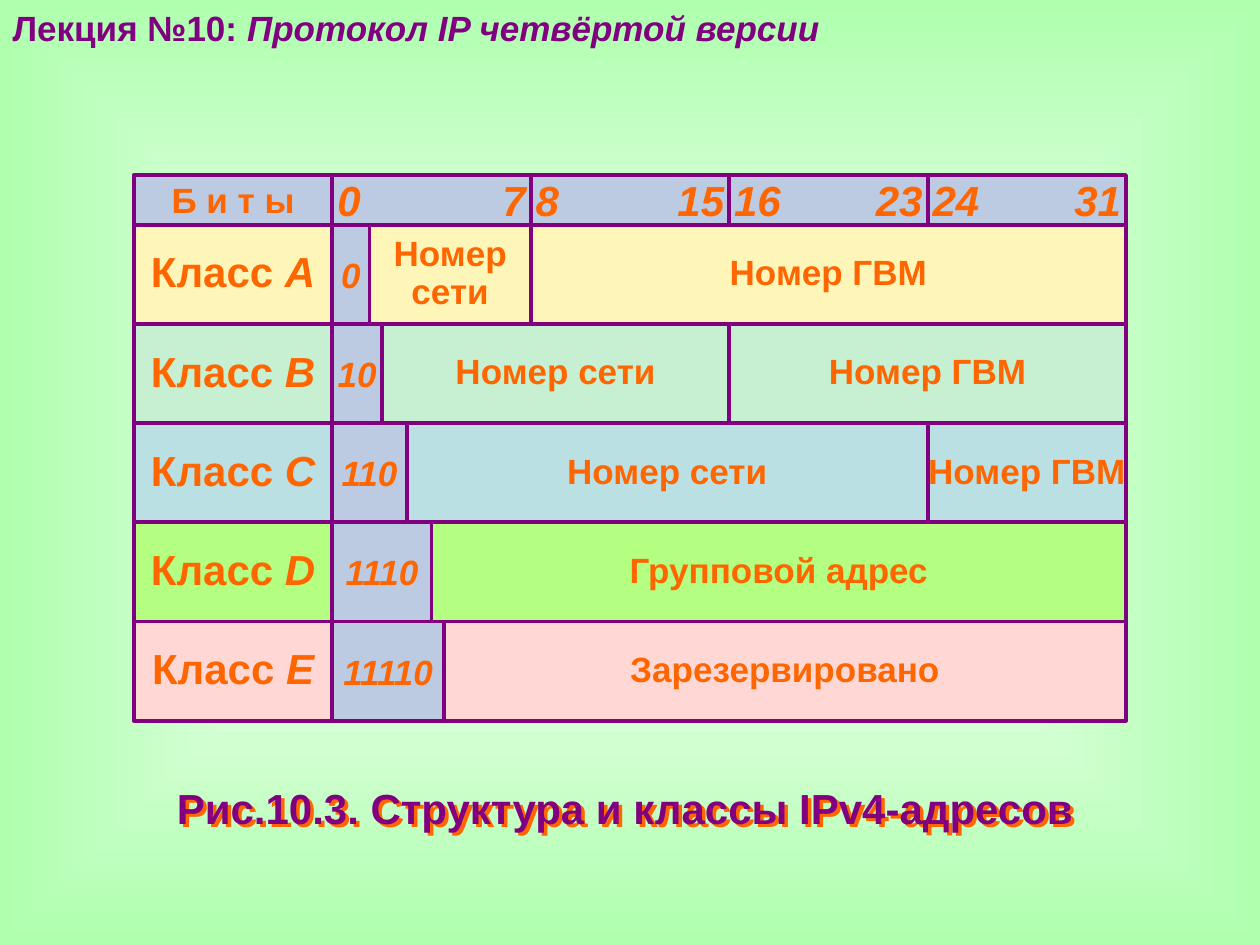
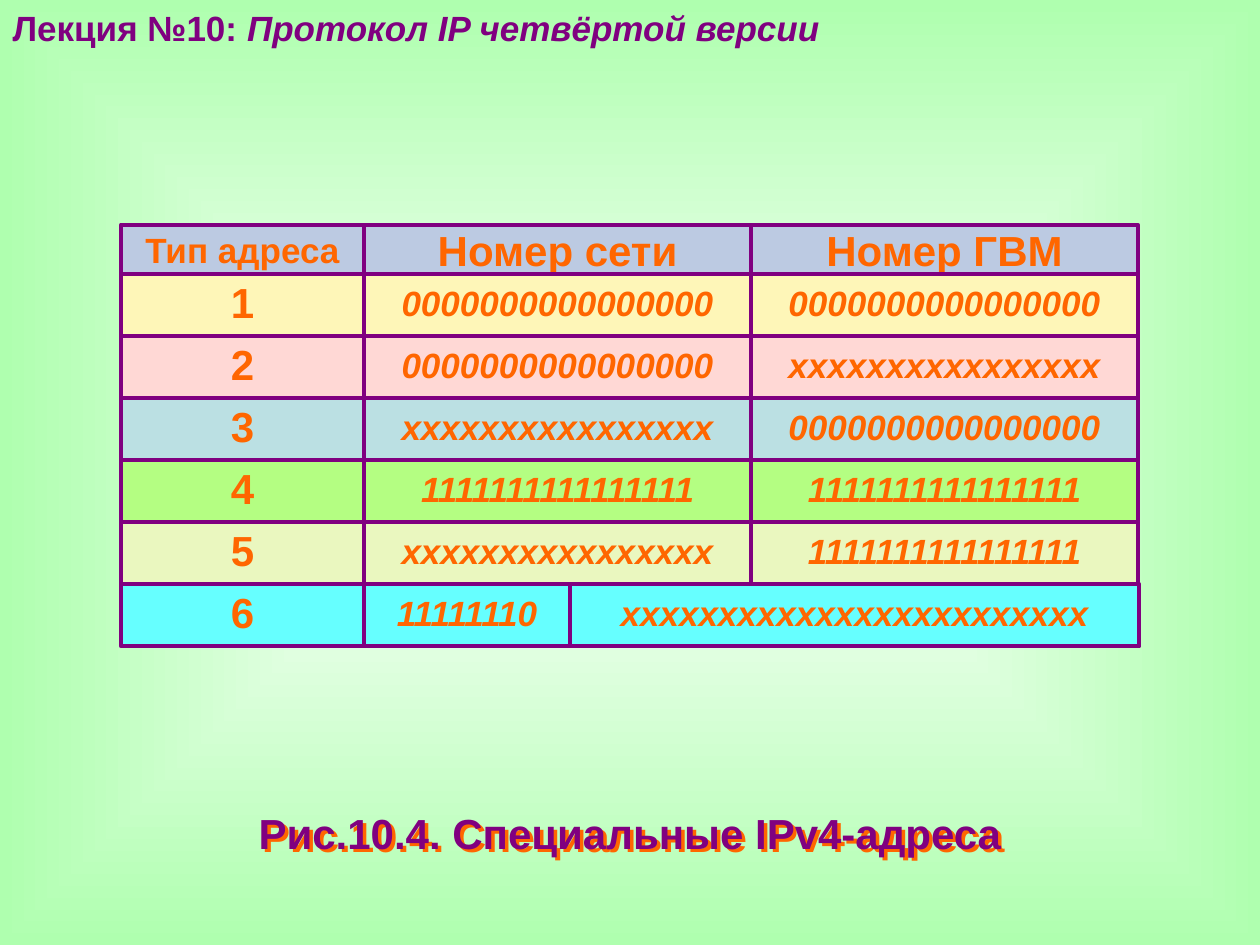
import itertools

import lxml.etree
import pptx
import pptx.dml.color
import pptx.enum.shapes
import pptx.enum.text
import pptx.oxml
import pptx.oxml.ns
import pptx.util

Cm = pptx.util.Cm
Pt = pptx.util.Pt
Align = pptx.enum.text.PP_ALIGN
Anchor = pptx.enum.text.MSO_ANCHOR

FONT = "Arial"
PURPLE, ORANGE = "800080", "FF6600"
HEADER, YELLOW, MINT, BLUE = "BCCAE2", "FEF6B8", "C7EFD1", "BBE0E3"
GREEN, PINK, OLIVE, CYAN = "B4FE82", "FFD8D5", "EAF7BF", "66FFFF"
HEADER_HEIGHT = 1

# Name, colour, prefix bits, prefix width, then (text, right edge in octets)
ADDRESS_CLASSES = [
    ("А", YELLOW, "0", 0.75, [("Номер сети", 1), ("Номер ГВМ", 4)]),
    ("В", MINT, "10", 1, [("Номер сети", 2), ("Номер ГВМ", 4)]),
    ("С", BLUE, "110", 1.5, [("Номер сети", 3), ("Номер ГВМ", 4)]),
    ("D", GREEN, "1110", 2, [("Групповой адрес", 4)]),
    ("E", PINK, "11110", 2.25, [("Зарезервировано", 4)]),
]

ZEROS, ONES, ANY = "0" * 16, "1" * 16, "x" * 16
SPECIAL_ADDRESSES = [
    (YELLOW, ZEROS, ZEROS),
    (PINK, ZEROS, ANY),
    (BLUE, ANY, ZEROS),
    (GREEN, ONES, ONES),
    (OLIVE, ANY, ONES),
    (CYAN, "11111110", "x" * 24),
]


def rgb(value):
    return pptx.dml.color.RGBColor.from_string(value)


def xml(markup):
    """Parse a DrawingML fragment that uses the a: prefix."""
    return pptx.oxml.parse_xml(
        markup.replace(">", f" {pptx.oxml.ns.nsdecls('a')}>", 1))


def write(frame, text, italic_tail="", size=20, color=ORANGE, italic=False,
          align=Align.CENTER, anchor=Anchor.MIDDLE, spacing=None):
    frame.word_wrap = True
    frame.vertical_anchor = anchor
    para = frame.paragraphs[0]
    para.alignment = align
    para.line_spacing = spacing
    for words, slanted in ((text, italic), (italic_tail, True)):
        if not words:
            continue
        span = para.add_run()
        span.text = words
        span.font.name = FONT
        span.font.size = Pt(size)
        span.font.bold = True
        span.font.italic = slanted
        span.font.color.rgb = rgb(color)
    return para


def add_cell(page, left, top, width, height, fill, text, inset=0, **style):
    box = page.shapes.add_shape(pptx.enum.shapes.MSO_SHAPE.RECTANGLE,
                                Cm(left), Cm(top), Cm(width), Cm(height))
    box.shadow.inherit = False
    box.fill.solid()
    box.fill.fore_color.rgb = rgb(fill)
    box.line.color.rgb = rgb(PURPLE)
    box.line.width = Pt(2.25)
    frame = box.text_frame
    frame.margin_left = frame.margin_right = Cm(inset)
    frame.margin_top = frame.margin_bottom = 0
    return write(frame, text, **style)


def add_octet_header(page, left, top, width, first_bit):
    """Header cell with the first bit at its left and the last at its right."""
    inset = 0.1
    para = add_cell(page, left, top, width, HEADER_HEIGHT, HEADER,
                    f"{first_bit}\t{first_bit + 7}", inset=inset,
                    size=24, italic=True, align=Align.LEFT)
    stop = Cm(width - 2 * inset)
    para.runs[0].font.language_id = None
    properties = para.runs[0].font  # keeps the run formatted before the tab is set
    properties.bold = True
    para_format = para._p.get_or_add_pPr()
    para_format.append(
        xml(f'<a:tabLst><a:tab pos="{stop}" algn="r"/></a:tabLst>'))


def add_caption(page, text, left, top, width):
    box = page.shapes.add_textbox(Cm(left), Cm(top), Cm(width), Cm(1.27))
    write(box.text_frame, text, size=24, color=PURPLE, anchor=Anchor.TOP)
    box._element.spPr.append(xml(
        '<a:effectLst><a:outerShdw dist="35921" dir="2700000" algn="ctr" '
        f'rotWithShape="0"><a:srgbClr val="{ORANGE}"/></a:outerShdw>'
        '</a:effectLst>'))


def paint_background(master):
    fill = master.background.fill
    fill.gradient()
    for stop, color, position in zip(fill.gradient_stops,
                                     ("FFFFFF", "AFFFAF"), (0, 1)):
        stop.color.rgb = rgb(color)
        stop.position = position
    linear = master.element.xpath("p:cSld/p:bg//a:lin")[0]
    linear.getparent().replace(linear, xml(
        '<a:path path="shape"><a:fillToRect l="50000" t="50000" '
        'r="50000" b="50000"/></a:path>'))


def add_page(deck):
    page = deck.slides.add_slide(deck.slide_layouts[5])
    title = page.shapes.title
    title.left, title.top, title.width, title.height = (
        Cm(0), Cm(0), Cm(17.2), Cm(1.1))
    title.text_frame.auto_size = pptx.enum.text.MSO_AUTO_SIZE.NONE
    write(title.text_frame, "Лекция №10: ", "Протокол IP четвёртой версии",
          color=PURPLE, align=Align.LEFT, anchor=Anchor.TOP)
    return page


def build_classes_page(deck):
    page = add_page(deck)
    left, top, octet, row_height = 2.7, 3.53, 4, 2
    bits_left = left + octet
    add_cell(page, left, top, octet, HEADER_HEIGHT, HEADER, "Б и т ы")
    for index in range(4):
        add_octet_header(page, bits_left + index * octet, top, octet, 8 * index)

    for row, (name, color, prefix, prefix_width, fields) in enumerate(
            ADDRESS_CLASSES):
        row_top = top + HEADER_HEIGHT + row * row_height
        add_cell(page, left, row_top, octet, row_height, color, "Класс ",
                 italic_tail=name, size=24, spacing=0.9)
        add_cell(page, bits_left, row_top, prefix_width, row_height, HEADER,
                 prefix, italic=True)
        start = bits_left + prefix_width
        for text, octets in fields:
            end = bits_left + octets * octet
            add_cell(page, start, row_top, end - start, row_height, color,
                     text, spacing=0.9)
            start = end
    add_caption(page, "Рис.10.3. Структура и классы IPv4-адресов",
                0.8, 15.65, 23.6)


def build_special_page(deck):
    page = add_page(deck)
    left, top, row_height = 2.44, 4.53, 1.25
    widths, last_widths = (4.9, 7.8, 7.8), (4.9, 4.15, 11.48)

    def add_row(row_top, height, columns, fill, texts, styles):
        starts = itertools.accumulate(columns, initial=left)
        for start, width, text, style in zip(starts, columns, texts, styles):
            add_cell(page, start, row_top, width, height, fill, text, **style)

    add_row(top, HEADER_HEIGHT, widths, HEADER,
            ("Тип адреса", "Номер сети", "Номер ГВМ"),
            ({"size": 20}, {"size": 24}, {"size": 24}))
    number = {"size": 24, "spacing": 0.9}
    bits = {"italic": True, "spacing": 0.9}
    for row, (color, network, host) in enumerate(SPECIAL_ADDRESSES):
        is_last = row == len(SPECIAL_ADDRESSES) - 1
        add_row(top + HEADER_HEIGHT + row * row_height, row_height,
                last_widths if is_last else widths, color,
                (str(row + 1), network, host), (number, bits, bits))
    add_caption(page, "Рис.10.4. Специальные IPv4-адреса", 2.7, 16.15, 20)


def main():
    deck = pptx.Presentation()
    deck.slide_width, deck.slide_height = Cm(25.4), Cm(19.05)
    paint_background(deck.slide_master)
    build_classes_page(deck)
    build_special_page(deck)
    deck.save("out.pptx")


if __name__ == "__main__":
    main()
